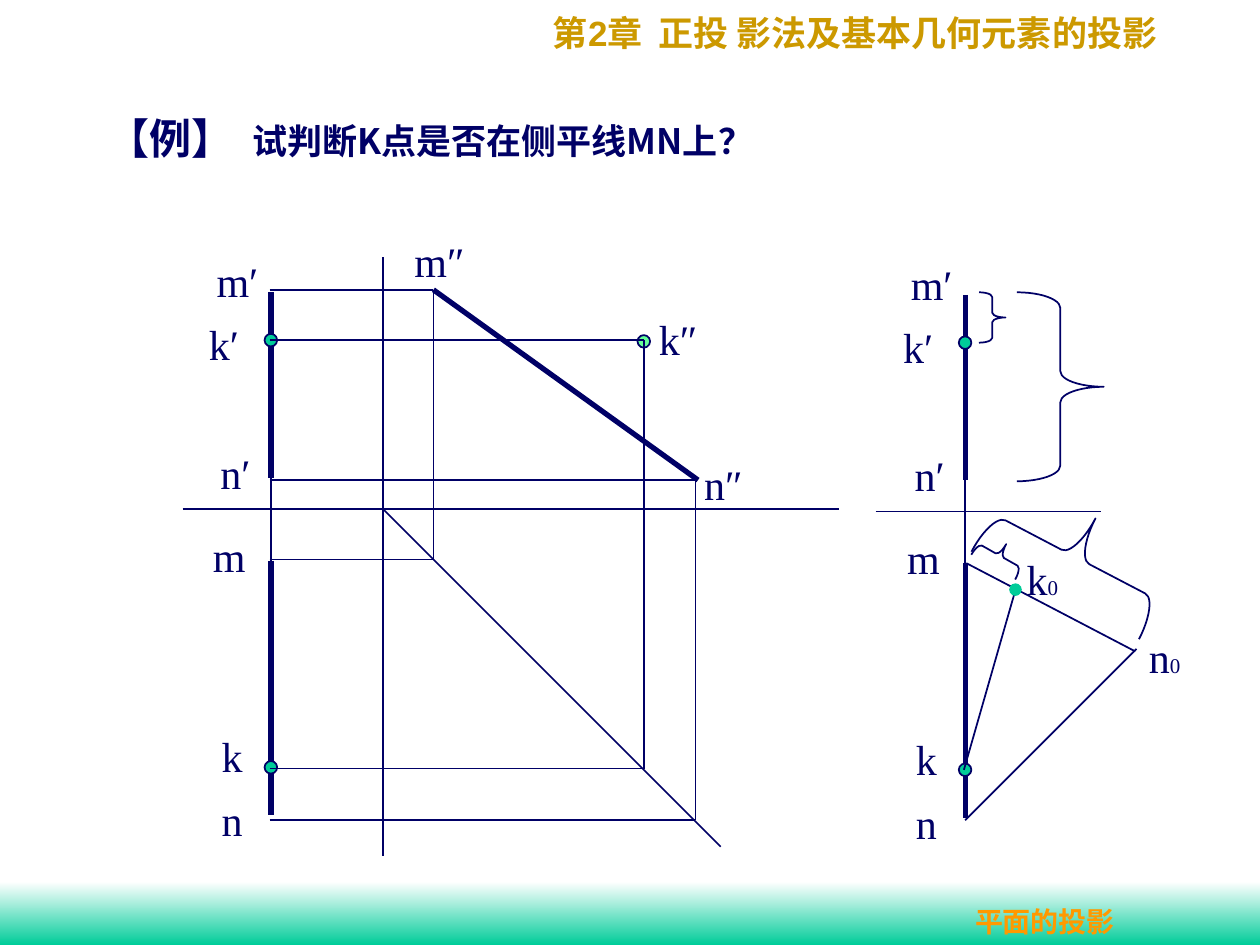
import lxml.etree
import pptx
import pptx.dml.color
import pptx.enum.shapes
import pptx.enum.text
import pptx.oxml.ns
import pptx.util

Inches = pptx.util.Inches
SHAPES = pptx.enum.shapes.MSO_SHAPE
NAVY, GREEN, MINT = "000066", "00CC99", "66FF99"
GOLD, ORANGE, WHITE = "CC9900", "FF9900", "FFFFFF"
SERIF, SANS, CJK = "Times New Roman", "Arial", "Noto Sans CJK SC"
THIN, THICK = 1, 3
RIGHT_VIEW = (5.51, 0.02)

LABEL = {"size": pptx.util.Pt(24), "name": SERIF, "bold": False}
SUBSCRIPT = {**LABEL, "size": pptx.util.Pt(12)}
HEADER = {"size": pptx.util.Pt(20), "name": SERIF, "bold": True}
FOOTER = {**HEADER, "size": pptx.util.Pt(16)}
EXAMPLE = {**HEADER, "size": pptx.util.Pt(24)}


def rgb(value):
    return pptx.dml.color.RGBColor.from_string(value)


def add_element(parent, tag, **attributes):
    return lxml.etree.SubElement(parent, pptx.oxml.ns.qn(tag), attributes)


def fill_text(box, spans, color, tab=None):
    """Write (text, format) spans into one left-aligned paragraph."""
    frame = box.text_frame
    frame.word_wrap = True
    frame.vertical_anchor = pptx.enum.text.MSO_ANCHOR.TOP
    para = frame.paragraphs[0]
    para.alignment = pptx.enum.text.PP_ALIGN.LEFT
    if tab:
        stops = add_element(para._p.get_or_add_pPr(), "a:tabLst")
        add_element(stops, "a:tab", pos=str(Inches(tab)), algn="l")
    for text, values in spans:
        span = para.add_run()
        span.text = text
        for name, value in values.items():
            setattr(span.font, name, value)
        span.font.color.rgb = rgb(color)
        add_element(span._r.get_or_add_rPr(), "a:ea", typeface=CJK)


def add_text(page, left, top, width, height, spans, color):
    box = page.shapes.add_textbox(*map(Inches, (left, top, width, height)))
    fill_text(box, spans, color)


def add_label(page, text, left, top, subscript="", width=0.85):
    spans = [(text, LABEL)]
    if subscript:
        spans.append((subscript, SUBSCRIPT))
    add_text(page, left, top, width, 0.5, spans, NAVY)


def add_line(page, x1, y1, x2, y2, weight=THIN):
    line = page.shapes.add_connector(
        pptx.enum.shapes.MSO_CONNECTOR.STRAIGHT, *map(Inches, (x1, y1, x2, y2)))
    line.line.color.rgb = rgb(NAVY)
    line.line.width = pptx.util.Pt(weight)
    add_element(line._element.spPr, "a:effectLst")


def add_outline(shape):
    shape.line.color.rgb = rgb(NAVY)
    shape.line.width = pptx.util.Pt(THIN)


def add_shape(page, kind, left, top, width, height):
    shape = page.shapes.add_shape(kind, *map(Inches, (left, top, width, height)))
    shape.shadow.inherit = False
    return shape


def add_point(page, left, top, color=GREEN, outlined=True):
    point = add_shape(page, SHAPES.OVAL, left, top, 0.1, 0.1)
    point.fill.solid()
    point.fill.fore_color.rgb = rgb(color)
    if outlined:
        add_outline(point)
    else:
        point.line.fill.background()


def add_brace(page, left, top, width, height, rotation=0):
    brace = add_shape(page, SHAPES.RIGHT_BRACE, left, top, width, height)
    brace.adjustments[0] = 0.18
    brace.rotation = rotation
    brace.fill.background()
    add_outline(brace)


def add_footer_band(page):
    band = add_shape(page, SHAPES.RECTANGLE, 0, 7, 10, 0.5)
    band.line.fill.background()
    band.fill.gradient()
    band.fill.gradient_angle = 270
    for stop, position, color in zip(band.fill.gradient_stops, (0, 1), (WHITE, GREEN)):
        stop.position = position
        stop.color.rgb = rgb(color)


def add_front_and_top_views(page, dx=0, dy=0):
    """Draw MN and K in the front view and the top view below it."""
    x = 2.15 + dx
    for start, end, weight in ((2.32, 3.79, THICK), (3.79, 4.45, THIN), (4.45, 6.47, THICK)):
        add_line(page, x, start + dy, x, end + dy, weight)
    for top in (2.65, 6.04):
        add_point(page, 2.1 + dx, top + dy)
    labels = (("m′", 1.62, 1.98), ("k′", 1.56, 2.48), ("n′", 1.65, 3.5),
              ("m", 1.59, 4.16), ("k", 1.66, 5.75), ("n", 1.66, 6.26))
    for text, left, top in labels:
        add_label(page, text, left + dx, top + dy)


def add_side_view_solution(page):
    axes = ((3.04, 2.04, 3.04, 6.79), (1.45, 4.04, 6.66, 4.04), (3.04, 4.04, 5.72, 6.72))
    for ends in axes:
        add_line(page, *ends)
    add_front_and_top_views(page)
    add_point(page, 5.06, 2.66, MINT)
    # Each point: its x in the side view, its y in the front and top views.
    for x, front, top in ((3.44, 2.3, 4.44), (5.11, 2.7, 6.1), (5.52, 3.81, 6.51)):
        add_line(page, 2.14, front, x, front)
        add_line(page, 2.14, top, x, top)
        add_line(page, x, top, x, front)
    add_line(page, 3.44, 2.3, 5.54, 3.81, THICK)
    for text, left, top in (("m″", 3.19, 1.82), ("k″", 5.13, 2.44), ("n″", 5.49, 3.59)):
        add_label(page, text, left, top)


def add_ratio_solution(page):
    add_line(page, 6.95, 4.06, 8.74, 4.06)
    add_front_and_top_views(page, *RIGHT_VIEW)
    for ends in ((7.67, 4.47, 9.01, 5.17), (7.66, 6.51, 9.02, 5.15), (7.65, 6.11, 8.06, 4.68)):
        add_line(page, *ends)
    add_point(page, 8.01, 4.63, outlined=False)
    add_label(page, "k", 8.05, 4.34, "0")
    add_label(page, "n", 9.02, 4.96, "0", 0.49)
    add_brace(page, 8.07, 2.32, 0.69, 1.5)
    add_brace(page, 8.19, 3.67, 0.69, 1.5, 297.6)
    add_brace(page, 7.77, 2.32, 0.21, 0.4)
    add_brace(page, 7.83, 4.21, 0.21, 0.4, 299.4)


def add_title(page):
    title = page.shapes.title
    title.left, title.top, title.width, title.height = map(Inches, (0.75, 0.84, 8.19, 0.5))
    question = {**HEADER, "name": CJK}
    fill_text(title, [("【例】\t", EXAMPLE), ("试判断K点是否在侧平线MN上？", question)],
              NAVY, tab=1.15)


def main():
    deck = pptx.Presentation()
    deck.slide_width, deck.slide_height = Inches(10), Inches(7.5)
    page = deck.slides.add_slide(deck.slide_layouts[5])
    add_footer_band(page)
    add_text(page, 4.29, 0.04, 5.29, 0.44,
             [("第", HEADER), ("2", {**HEADER, "name": SANS}),
              ("章  正投 影法及基本几何元素的投影", HEADER)], GOLD)
    add_title(page)
    add_side_view_solution(page)
    add_ratio_solution(page)
    add_text(page, 7.64, 7.13, 2.36, 0.37, [("平面的投影", FOOTER)], ORANGE)
    deck.save("out.pptx")


if __name__ == "__main__":
    main()
